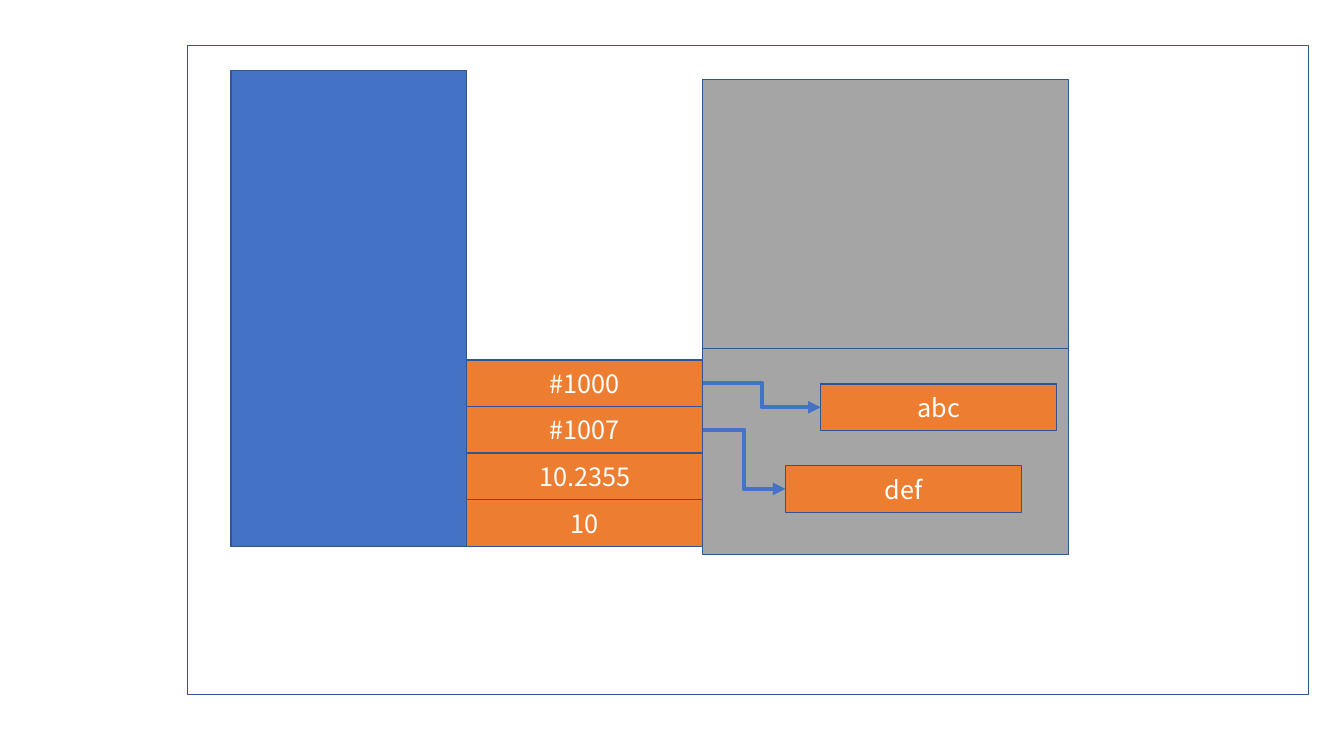
from lxml.etree import SubElement
from pptx import Presentation
from pptx.dml.color import RGBColor
from pptx.enum.shapes import MSO_CONNECTOR, MSO_SHAPE
from pptx.enum.text import MSO_ANCHOR, PP_ALIGN
from pptx.oxml.ns import qn
from pptx.util import Inches, Pt

BLUE = RGBColor(0x44, 0x72, 0xC4)
NAVY = RGBColor(0x32, 0x54, 0x91)
ORANGE = RGBColor(0xED, 0x7D, 0x31)
GREY = RGBColor(0xA5, 0xA5, 0xA5)
WHITE = RGBColor(0xFF, 0xFF, 0xFF)
FONT = {"name": "Noto Sans CJK KR", "size": Pt(18)}

STACK = ["#1000", "#1007", "10.2355", "10"]
LEFT, TOP, BASE = 4.63, 3.57, 5.42
WIDE, HIGH = 2.34, (BASE - TOP) / len(STACK)


def add_box(slide, left, top, width, height, fill=None):
    """Add an outlined rectangle, hollow unless a fill is given."""
    box = slide.shapes.add_shape(
        MSO_SHAPE.RECTANGLE, *map(Inches, (left, top, width, height)))
    box.shadow.inherit = False
    box.line.color.rgb = NAVY
    box.line.width = Pt(1)
    if fill is None:
        box.fill.background()
    else:
        box.fill.solid()
        box.fill.fore_color.rgb = fill
    return box


def add_cell(slide, left, top, text):
    """Add an orange memory cell with a centred value."""
    cell = add_box(slide, left, top, WIDE, HIGH, ORANGE)
    frame = cell.text_frame
    frame.vertical_anchor = MSO_ANCHOR.MIDDLE
    line = frame.paragraphs[0]
    line.alignment = PP_ALIGN.CENTER
    run = line.add_run()
    run.text = text
    for key, value in FONT.items():
        setattr(run.font, key, value)
    run.font.color.rgb = WHITE
    return cell


def add_arrow(slide, start, end):
    """Join the right side of one cell to the left side of another."""
    arrow = slide.shapes.add_connector(MSO_CONNECTOR.ELBOW, 0, 0, 0, 0)
    arrow.begin_connect(start, 3)
    arrow.end_connect(end, 1)
    arrow.line.color.rgb = BLUE
    arrow.line.width = Pt(3)
    SubElement(arrow.line._get_or_add_ln(), qn("a:tailEnd"), type="triangle")
    SubElement(arrow._element.spPr, qn("a:effectLst"))


def main():
    """Draw the stack of values and the heap it points into."""
    deck = Presentation()
    deck.slide_width, deck.slide_height = Inches(13.33), Inches(7.5)
    slide = deck.slides.add_slide(deck.slide_layouts[6])

    add_box(slide, 1.86, 0.45, 11.12, 6.44)
    add_box(slide, 2.29, 0.7, WIDE, 4.72, BLUE)
    for top, height in [(3.46, 2.04), (0.79, 2.67)]:
        add_box(slide, LEFT + WIDE, top, 3.63, height, GREY)

    cells = [add_cell(slide, LEFT, TOP + row * HIGH, text)
             for row, text in enumerate(STACK)]
    heap = [add_cell(slide, 8.14, 3.81, "abc"),
            add_cell(slide, 7.79, 4.62, "def")]
    for cell, item in zip(cells, heap):
        add_arrow(slide, cell, item)

    deck.save("out.pptx")


if __name__ == "__main__":
    main()
